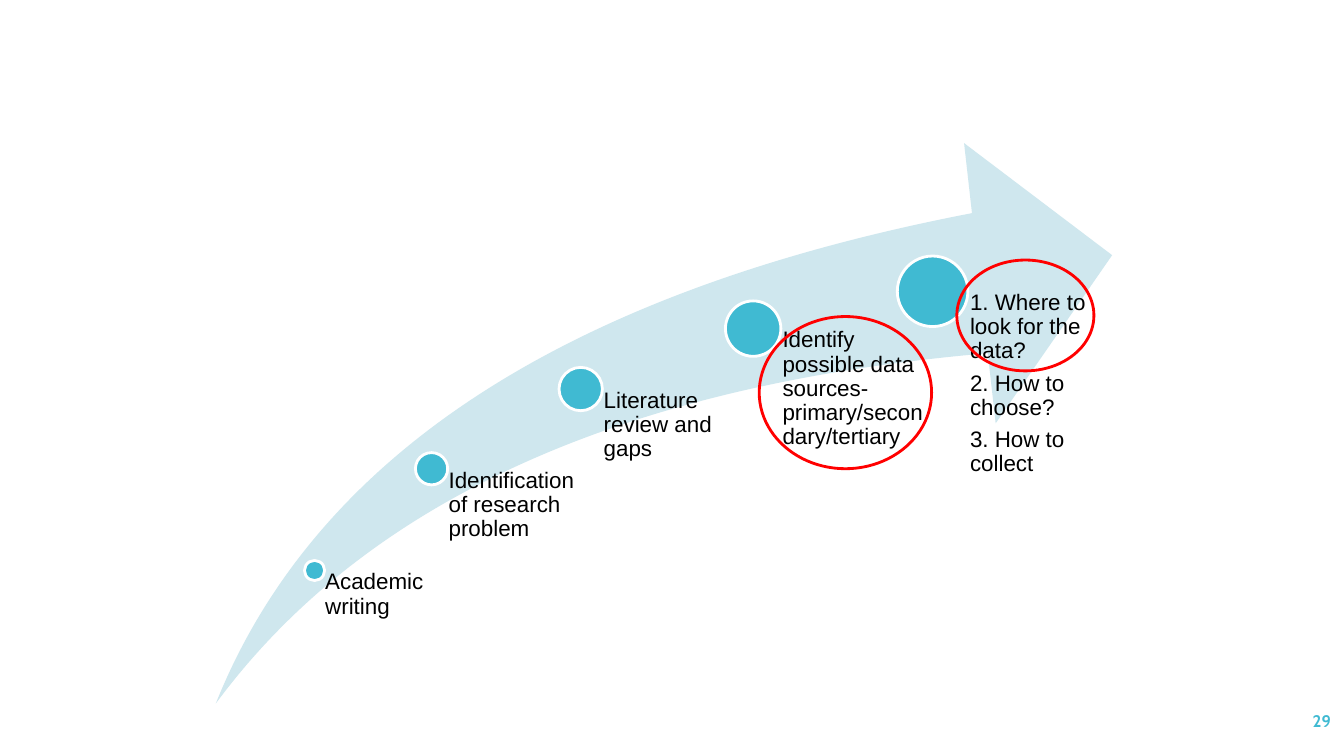
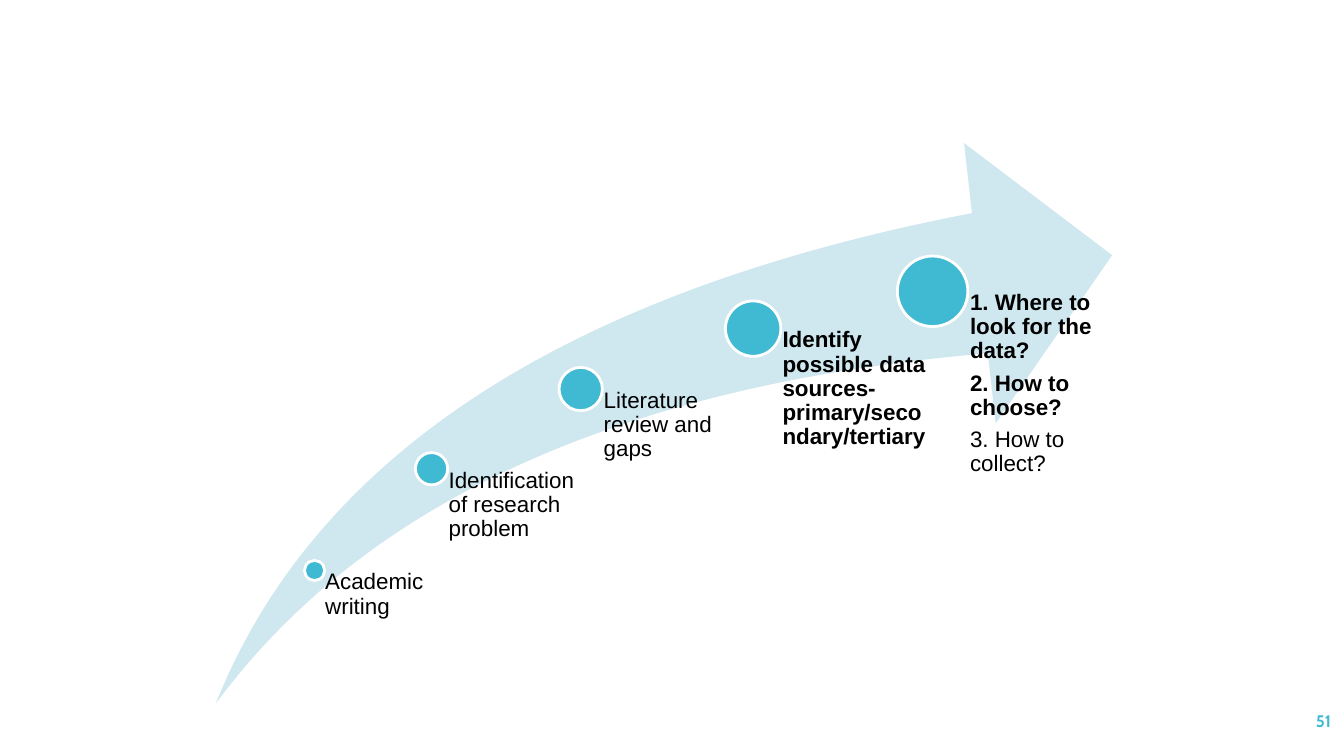
from dataclasses import dataclass

from pptx import Presentation
from pptx.dml.color import RGBColor
from pptx.enum.shapes import MSO_SHAPE
from pptx.enum.text import MSO_ANCHOR, PP_ALIGN
from pptx.util import Inches, Pt

SWOOSH, OVAL = MSO_SHAPE.SWOOSH_ARROW, MSO_SHAPE.OVAL
MIDDLE, RIGHT = MSO_ANCHOR.MIDDLE, PP_ALIGN.RIGHT


@dataclass(frozen=True)
class Theme:
    accent: RGBColor = RGBColor.from_string("40BAD2")
    pale: RGBColor = RGBColor.from_string("CFE7EE")
    white: RGBColor = RGBColor.from_string("FFFFFF")
    black: RGBColor = RGBColor.from_string("000000")
    red: RGBColor = RGBColor.from_string("FF0000")
    body_font: str = "Arial"
    number_font: str = "Cabin"
    body_size: int = 16
    number_size: int = 12
    line_width: int = 2


T = Theme()

ARROW = (2.14, 1.42, 8.89, 5.56)
ARROW_BOTTOM = ARROW[1] + ARROW[3]
INSET_RATIO = 0.53  # label indent as a share of the dot's diameter

# Dot centre x and y, dot diameter, label width
STOPS = [
    (3.12, 5.66, 0.2, 1.16),
    (4.28, 4.65, 0.32, 1.48),
    (5.76, 3.86, 0.43, 1.72),
    (7.47, 3.26, 0.55, 1.78),
    (9.25, 2.89, 0.7, 1.78),
]

FIRST_STEPS = [
    ["Academic writing"],
    ["Identification of research problem"],
    ["Literature review and gaps"],
]
SOURCES = "Identify possible data sources- primary/secondary/tertiary"
WHERE, CHOOSE = "1. Where to look for the data?", "2. How to choose?"

# Page number, step labels, bold lines, red rings
SLIDES = [
    ("29", FIRST_STEPS + [[SOURCES], [WHERE, CHOOSE, "3. How to collect"]],
     [], [(7.53, 3.14, 1.71, 1.51), (9.49, 2.58, 1.36, 1.1)]),
    ("51", FIRST_STEPS + [[SOURCES], [WHERE, CHOOSE, "3. How to collect?"]],
     [SOURCES, WHERE, CHOOSE], []),
]


def add_shape(shapes, kind, box, fill=None, line=None):
    sp = shapes.add_shape(kind, *map(Inches, box))
    sp.shadow.inherit = False
    if fill is None:
        sp.fill.background()
    else:
        sp.fill.solid()
        sp.fill.fore_color.rgb = fill
    if line is None:
        sp.line.fill.background()
    else:
        sp.line.color.rgb = line
        sp.line.width = Pt(T.line_width)
    return sp


def add_text(shapes, box, lines, font, size, color, bold_lines):
    """Add a wrapped text box, one paragraph per line, and return its frame."""
    tf = shapes.add_textbox(*map(Inches, box)).text_frame
    tf.word_wrap = True
    for i, line in enumerate(lines):
        p = tf.add_paragraph() if i else tf.paragraphs[0]
        r = p.add_run()
        r.text = line
        r.font.name = font
        r.font.size = Pt(size)
        r.font.color.rgb = color
        r.font.bold = line in bold_lines
    return tf


prs = Presentation()
prs.slide_width, prs.slide_height = Inches(13.33), Inches(7.5)
blank = prs.slide_layouts[6]

for number, steps, bold_lines, rings in SLIDES:
    s = prs.slides.add_slide(blank)

    tf = add_text(s.shapes, (11.63, 6.95, 1.67, 0.4), [number],
                  T.number_font, T.number_size, T.accent, [number])
    tf.vertical_anchor = MIDDLE
    tf.paragraphs[0].alignment = RIGHT

    diagram = s.shapes.add_group_shape().shapes
    arrow = add_shape(diagram, SWOOSH, ARROW, fill=T.pale)
    arrow.adjustments[0] = arrow.adjustments[1] = 0.25

    for (x, y, size, width), lines in zip(STOPS, steps):
        dot = (x - size / 2, y - size / 2, size, size)
        add_shape(diagram, OVAL, dot, fill=T.accent, line=T.white)
        tf = add_text(diagram, (x, y, width, ARROW_BOTTOM - y), lines,
                      T.body_font, T.body_size, T.black, bold_lines)
        tf.margin_left = Inches(size * INSET_RATIO)
        tf.margin_top = tf.margin_right = tf.margin_bottom = 0
        for p in tf.paragraphs:
            p.line_spacing = 0.9
            p.space_after = Pt(T.body_size * 0.35)

    for ring in rings:
        add_shape(s.shapes, OVAL, ring, line=T.red)

prs.save("out.pptx")
